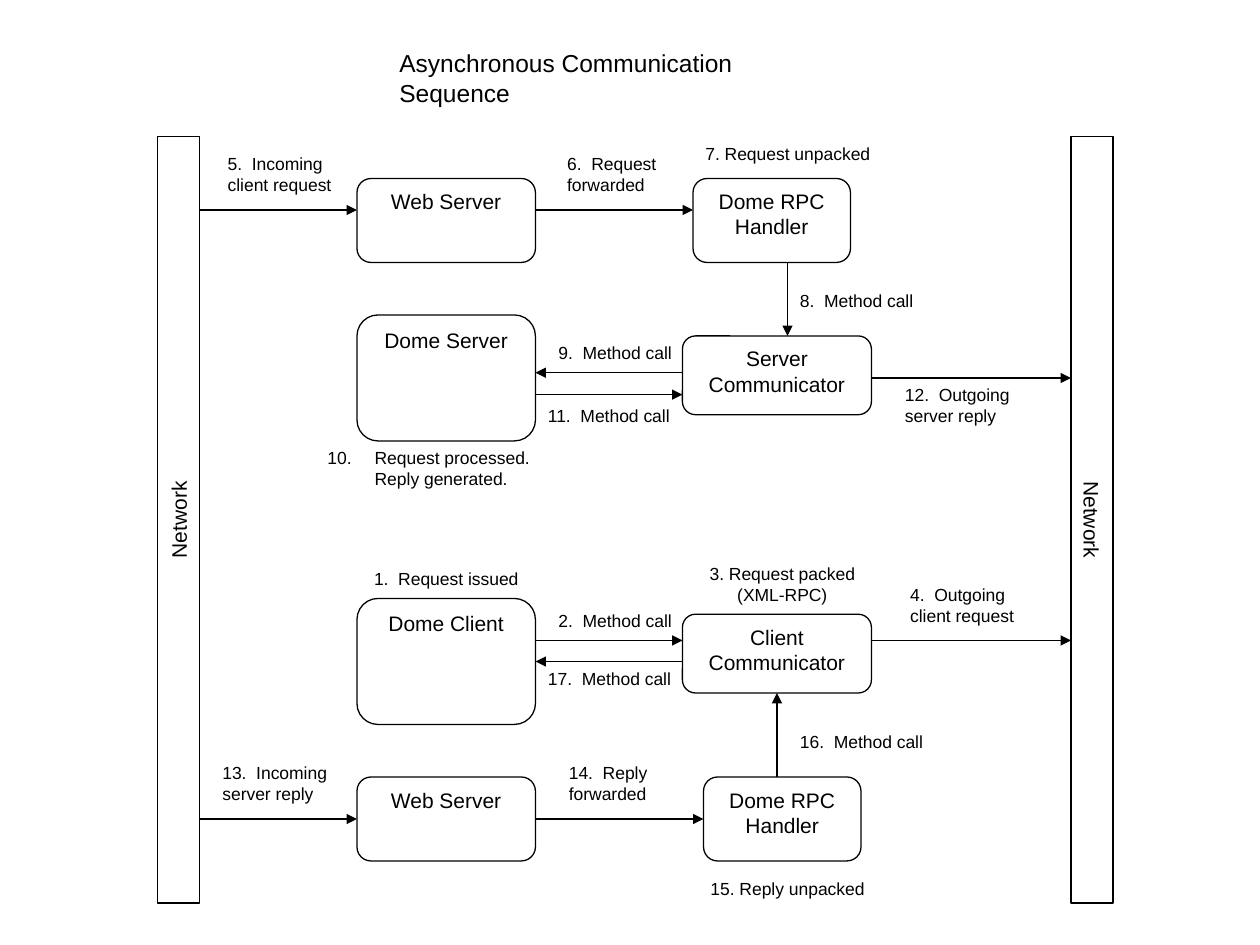
"""Draw the asynchronous communication sequence as boxes, arrows and labels."""
from lxml.etree import SubElement as Sub
from pptx import Presentation
from pptx.dml.color import RGBColor as RGB
from pptx.enum.shapes import MSO_CONNECTOR as Link, MSO_SHAPE as Kind
from pptx.enum.text import MSO_ANCHOR as Anchor, MSO_AUTO_SIZE as Auto, PP_ALIGN as Align
from pptx.oxml.ns import qn
from pptx.util import Pt

COLORS = {"ink": "000000", "paper": "FFFFFF"}
INSET = {"margin_left": Pt(7.2), "margin_right": Pt(7.2),
         "margin_top": Pt(3.6), "margin_bottom": Pt(3.6)}
FRAME = {**INSET, "auto_size": Auto.NONE, "word_wrap": True,
         "vertical_anchor": Anchor.TOP}
SINGLE = {**FRAME, "word_wrap": False}
MIDDLE = {**SINGLE, "vertical_anchor": Anchor.MIDDLE}

NODES = [
    ("Web Server", 204, 102, 102, 48),
    ("Dome RPC Handler", 396, 102, 90, 48),
    ("Dome Server", 204, 180, 102, 72),
    ("Server Communicator", 390, 192, 108, 45),
    ("Dome Client", 204, 342, 102, 72),
    ("Client\nCommunicator", 390, 351, 108, 45),
    ("Web Server", 204, 444, 102, 48),
    ("Dome RPC Handler", 402, 444, 90, 48),
]
BARS = [(102, 270), (624, 90)]
ARROWS = [
    (114, 120, 204, 120), (306, 120, 396, 120), (450, 150, 450, 192),
    (390, 213, 306, 213), (306, 225.5, 390, 225.5), (498, 216, 612, 216),
    (306, 366, 390, 366), (390, 378, 306, 378), (498, 366, 612, 366),
    (114, 468, 204, 468), (306, 468, 402, 468), (444, 444, 444, 396),
]
NOTES = [
    ("2.  Method call", 312, 345, 84, 27),
    ("4.  Outgoing client request", 513, 330, 81, 36),
    ("5.  Incoming client request", 123, 84, 81, 36),
    ("6.  Request forwarded", 317, 84, 81, 36),
    ("7. Request unpacked", 396, 78, 114, 18),
    ("8.  Method call", 450, 162, 81, 18),
    ("9.  Method call", 312, 192, 84, 27),
    ("11.  Method call", 306, 228, 90, 27),
    ("12.  Outgoing server reply", 510, 216, 84, 27),
    ("13.  Incoming server reply", 120, 432, 81, 36),
    ("14.  Reply forwarded", 318, 432, 81, 36),
    ("16.  Method call", 450, 414, 90, 18),
    ("17.  Method call", 306, 378, 90, 18),
]
CENTERED = [
    ("1.  Request issued", 204, 321, 102, 27),
    ("3. Request packed (XML-RPC)", 396, 318, 102, 24),
    ("15. Reply unpacked", 396, 498, 108, 24),
]


def color(name):
    """Return a named colour."""
    return RGB.from_string(COLORS[name])


def apply(target, values):
    """Set attributes from a dict."""
    for key, value in values.items():
        setattr(target, key, value)


def write(shape, text, size, align=Align.LEFT, frame=FRAME):
    """Fill a shape with formatted text, one paragraph a line."""
    box = shape.text_frame
    box.text = text
    apply(box, frame)
    for para in box.paragraphs:
        para.alignment = align
        for run in para.runs:
            apply(run.font, {"size": Pt(size), "name": "Arial"})
            run.font.color.rgb = color("ink")


def outline(line):
    """Give a line the common ink and width."""
    line.color.rgb = color("ink")
    line.width = Pt(0.75)


def head(slide, text):
    """Place the slide title."""
    title = slide.shapes.title
    apply(title, {"left": Pt(221), "top": Pt(24), "width": Pt(271.5), "height": Pt(24.5)})
    write(title, text, 14, frame=SINGLE)


def node(slide, text, *area):
    """Add a rounded box with its name."""
    shape = slide.shapes.add_shape(Kind.ROUNDED_RECTANGLE, *map(Pt, area))
    shape.shadow.inherit = False
    shape.fill.solid()
    shape.fill.fore_color.rgb = color("paper")
    outline(shape.line)
    write(shape, text, 12, Align.CENTER)


def bar(slide, mid, turn):
    """Add a turned network bar centred on a given x."""
    width, height = 438, 24
    area = (mid - width / 2, 297 - height / 2, width, height)
    shape = slide.shapes.add_shape(Kind.RECTANGLE, *map(Pt, area))
    shape.rotation = turn
    shape.shadow.inherit = False
    shape.fill.background()
    outline(shape.line)
    write(shape, "Network", 12, Align.CENTER, MIDDLE)


def arrow(slide, *ends):
    """Add a straight arrow."""
    link = slide.shapes.add_connector(Link.STRAIGHT, *map(Pt, ends))
    outline(link.line)
    Sub(link.line._get_or_add_ln(), qn("a:tailEnd"), type="triangle")
    Sub(link._element.spPr, qn("a:effectLst"))


def note(slide, text, *area, align=Align.LEFT):
    """Add a step label."""
    box = slide.shapes.add_textbox(*map(Pt, area))
    write(box, text, 10, align)
    return box


def step(slide, text, start, *area):
    """Add a label whose first line is auto-numbered."""
    box = note(slide, text, *area)
    indent = str(Pt(27))
    for para in box.text_frame.paragraphs:
        para._p.get_or_add_pPr().set("marL", indent)
    props = box.text_frame.paragraphs[0]._p.get_or_add_pPr()
    props.set("indent", "-" + indent)
    Sub(Sub(props, qn("a:buClr")), qn("a:srgbClr"), val=COLORS["ink"])
    Sub(props, qn("a:buAutoNum"), type="arabicPeriod", startAt=str(start))


def main():
    """Build and save the slide."""
    deck = Presentation()
    apply(deck, {"slide_width": Pt(720), "slide_height": Pt(540)})
    slide = deck.slides.add_slide(deck.slide_layouts[5])
    head(slide, "Asynchronous Communication Sequence")
    for item in NOTES:
        note(slide, *item)
    for item in CENTERED:
        note(slide, *item, align=Align.CENTER)
    step(slide, "Request processed.\nReply generated.", 10, 180, 252, 132, 27)
    for item in NODES:
        node(slide, *item)
    for item in BARS:
        bar(slide, *item)
    for item in ARROWS:
        arrow(slide, *item)
    deck.save("out.pptx")


if __name__ == "__main__":
    main()
